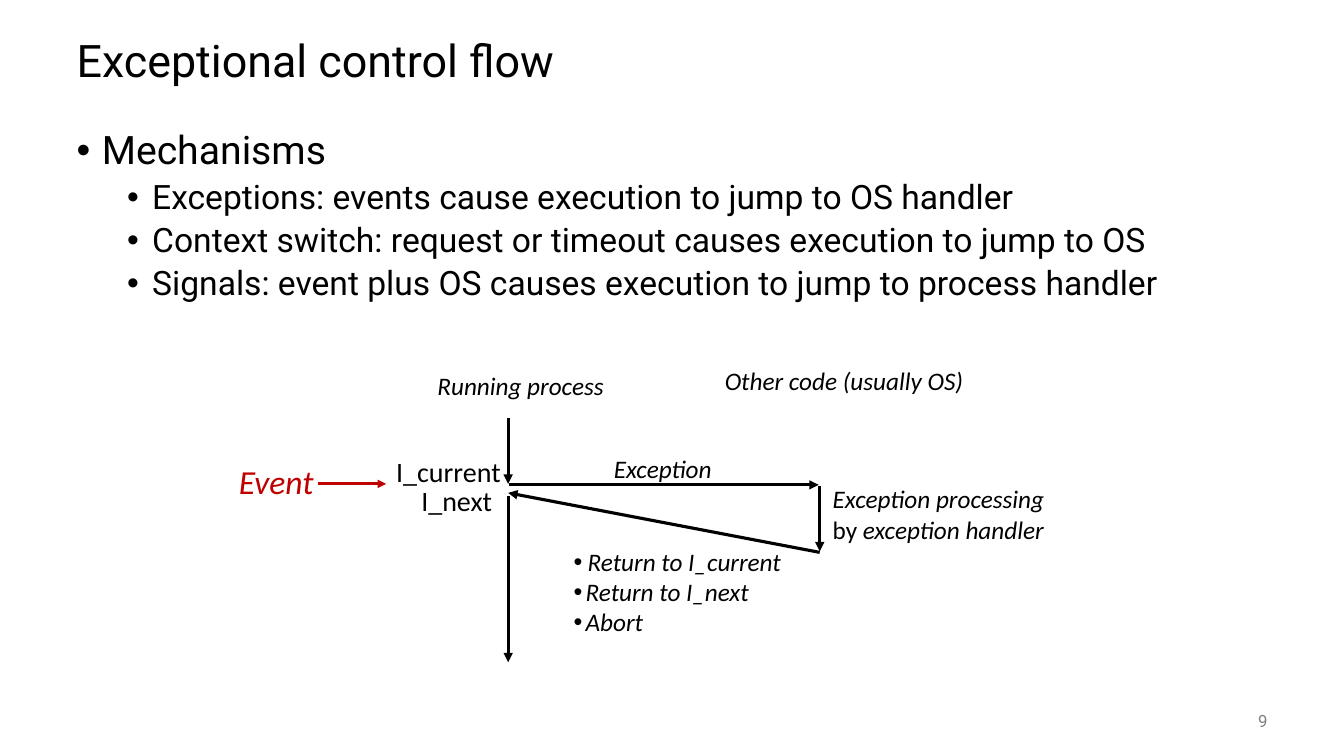
from lxml.etree import SubElement
from pptx import Presentation
from pptx.dml.color import RGBColor
from pptx.enum.shapes import MSO_CONNECTOR
from pptx.enum.text import MSO_ANCHOR, MSO_AUTO_SIZE, PP_ALIGN
from pptx.oxml.ns import qn
from pptx.util import Pt

PX = 9144
INK = {"black": "000000", "red": "C00000", "grey": "808080"}


def emu(*sizes):
    return [size * PX for size in sizes]


class Deck:
    head = "Roboto"
    note = "Calibri"

    def __init__(self, wide, high):
        self.file = Presentation()
        self.file.slide_width, self.file.slide_height = emu(wide, high)
        self.slide = self.file.slides.add_slide(self.file.slide_layouts[1])

    def run(self, para, text, size, font, ink="black", slant=False):
        run = para.add_run()
        run.text = text
        run.font.size = Pt(size)
        run.font.name = font
        run.font.italic = slant
        run.font.color.rgb = RGBColor.from_string(INK[ink])

    def bullet(self, para, left, hang):
        props = para._p.get_or_add_pPr()
        props.set("marL", str(left * PX))
        props.set("indent", str(-hang * PX))
        SubElement(props, qn("a:buFont")).set("typeface", "Arial")
        SubElement(props, qn("a:buChar")).set("char", "•")

    def paras(self, frame, count):
        return [frame.paragraphs[0]] + [frame.add_paragraph() for _ in range(count - 1)]

    def place(self, shape, box, anchor):
        shape.left, shape.top, shape.width, shape.height = emu(*box)
        frame = shape.text_frame
        frame.word_wrap = True
        frame.auto_size = MSO_AUTO_SIZE.NONE
        frame.vertical_anchor = anchor
        return frame

    def title(self, box, text):
        frame = self.place(self.slide.shapes.title, box, MSO_ANCHOR.MIDDLE)
        para = frame.paragraphs[0]
        para.alignment = PP_ALIGN.LEFT
        para.line_spacing = 0.9
        self.run(para, text, 32, self.head)

    def body(self, box, items):
        frame = self.place(self.slide.placeholders[1], box, MSO_ANCHOR.TOP)
        for para, (level, text) in zip(self.paras(frame, len(items)), items):
            para.level = level
            self.bullet(para, 25 + 50 * level, 25)
            para.line_spacing = 0.9
            para.space_before = Pt(5 * level)
            self.run(para, text, 28 - 4 * level, self.head)

    def number(self, box, text):
        shape = self.slide.shapes.add_textbox(*emu(*box))
        para = self.place(shape, box, MSO_ANCHOR.MIDDLE).paragraphs[0]
        para.alignment = PP_ALIGN.RIGHT
        self.run(para, text, 12, self.head, "grey")

    def label(self, box, lines, size=18, ink="black", slant=True, wrap=False, hangs=()):
        frame = self.slide.shapes.add_textbox(*emu(*box)).text_frame
        frame.word_wrap = wrap
        frame.auto_size = MSO_AUTO_SIZE.SHAPE_TO_FIT_TEXT
        paras = self.paras(frame, len(lines))
        for para, hang in zip(paras, hangs):
            self.bullet(para, hang, hang)
        for para, line in zip(paras, lines):
            for text, tilt in line if isinstance(line, list) else [(line, slant)]:
                self.run(para, text, size, self.note, ink, tilt)

    def arrow(self, start, end, ink="black", width=2.25):
        line = self.slide.shapes.add_connector(
            MSO_CONNECTOR.STRAIGHT, *emu(*start, *end))
        line.line.width = Pt(width)
        line.line.color.rgb = RGBColor.from_string(INK[ink])
        SubElement(line.line._get_or_add_ln(), qn("a:tailEnd")).set("type", "triangle")
        SubElement(line._element.spPr, qn("a:effectLst"))

    def save(self):
        self.file.save("out.pptx")


def main():
    deck = Deck(1333, 750)
    deck.title((66, 25, 1200, 75), "Exceptional control flow")
    deck.body((66, 125, 1200, 550), [
        (0, "Mechanisms"),
        (1, "Exceptions: events cause execution to jump to OS handler"),
        (1, "Context switch: request or timeout causes execution to jump to OS"),
        (1, "Signals: event plus OS causes execution to jump to process handler"),
    ])
    deck.number((1167, 695, 100, 40), "9")

    deck.label((424, 362, 187, 40), ["Running process"])
    deck.label((709, 358, 257, 40), ["Other code (usually OS)"])

    main_x, side_x = 504, 813
    for start, end in [
        ((main_x, 415), (main_x, 480)),
        ((main_x + 1, 481), (side_x - 1, 481)),
        ((side_x, 482), (side_x, 547)),
        ((side_x, 548), (main_x, 489)),
        ((main_x, 492), (main_x, 657)),
    ]:
        deck.arrow(start, end)

    deck.label((599, 445, 125, 40), ["Exception"])
    deck.label((816, 475, 235, 101), [
        "Exception processing",
        [("by ", False), ("exception handler", True)],
    ], wrap=True)
    deck.label((559, 537, 229, 101),
               ["Return to I_current", "Return to I_next", "Abort"],
               hangs=(14, 12, 12))
    deck.label((227, 452, 125, 50), ["Event"], size=24, ink="red", wrap=True)
    deck.label((383, 446, 125, 44), ["I_current"], size=20, slant=False)
    deck.label((408, 475, 91, 44), ["I_next"], size=20, slant=False)
    deck.arrow((315, 480), (383, 480), "red", 2)
    deck.save()


if __name__ == "__main__":
    main()
